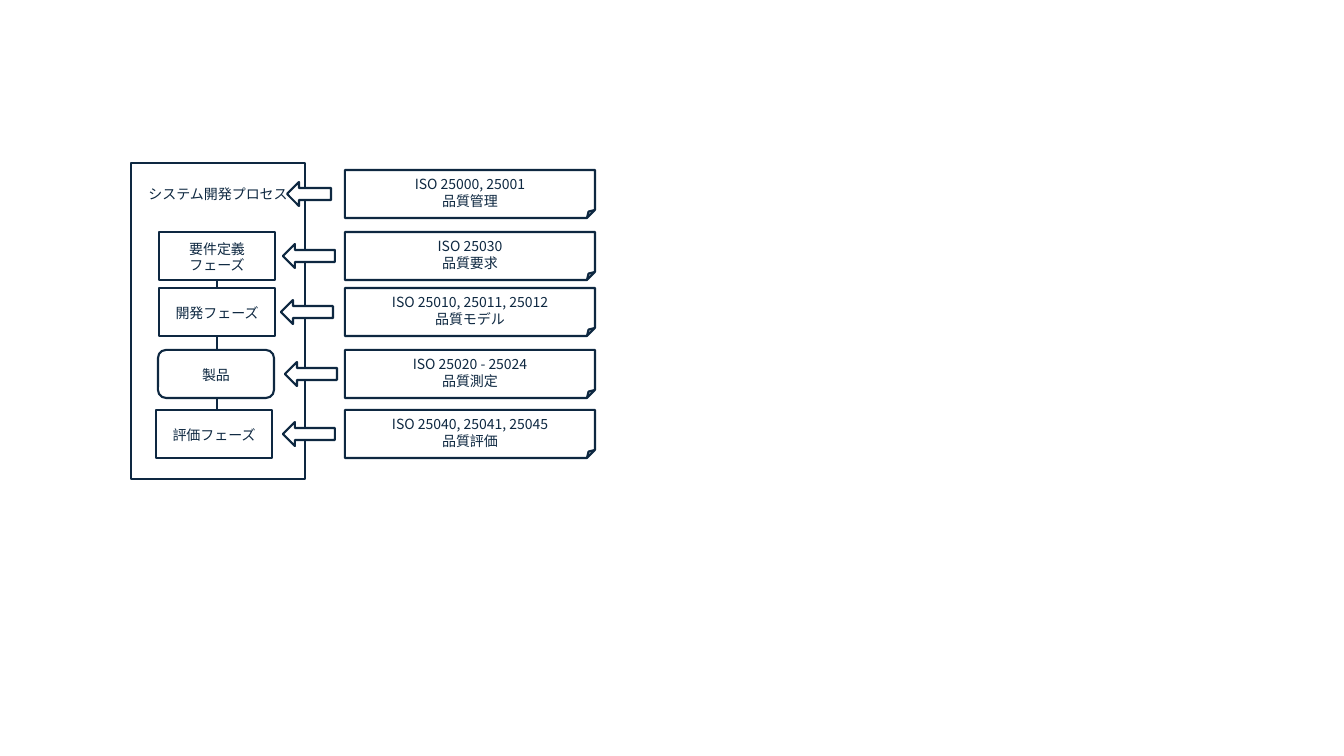
from dataclasses import dataclass

from lxml import etree
from pptx import Presentation
from pptx.dml.color import RGBColor
from pptx.enum.shapes import MSO_CONNECTOR, MSO_SHAPE
from pptx.enum.text import MSO_ANCHOR, PP_ALIGN
from pptx.oxml.ns import qn
from pptx.util import Pt

RECT, ROUND = MSO_SHAPE.RECTANGLE, MSO_SHAPE.ROUNDED_RECTANGLE
NOTE, ARROW = MSO_SHAPE.FOLDED_CORNER, MSO_SHAPE.LEFT_ARROW
STRAIGHT = MSO_CONNECTOR.STRAIGHT
TOP, MIDDLE, CENTER = MSO_ANCHOR.TOP, MSO_ANCHOR.MIDDLE, PP_ALIGN.CENTER
BOTTOM_SITE = 2


@dataclass(frozen=True)
class Theme:
    ink: RGBColor = RGBColor(0x0E, 0x28, 0x41)
    paper: RGBColor = RGBColor(0xFF, 0xFF, 0xFF)
    font: str = "Noto Sans CJK JP"
    size: int = 10
    leading: int = 12
    line: float = 1.5


THEME = Theme()
PROCESS = ["システム開発プロセス"]
ROWS = [
    {"top": 170, "arrow": (287, 44), "phase": None,
     "standard": ["ISO 25000, 25001", "品質管理"]},
    {"top": 232, "arrow": (283, 52), "phase": (RECT, 159, ["要件定義", "フェーズ"]),
     "standard": ["ISO 25030", "品質要求"]},
    {"top": 288, "arrow": (281, 52), "phase": (RECT, 159, ["開発フェーズ"]),
     "standard": ["ISO 25010, 25011, 25012", "品質モデル"]},
    {"top": 350, "arrow": (285, 52), "phase": (ROUND, 158, ["製品"]),
     "standard": ["ISO 25020 - 25024", "品質測定"]},
    {"top": 410, "arrow": (283, 52), "phase": (RECT, 156, ["評価フェーズ"]),
     "standard": ["ISO 25040, 25041, 25045", "品質評価"]},
]
SLIDE_W, SLIDE_H = 1344, 756
FRAME = (131, 163, 174, 316)
ROW_H, ARROW_H = 48, 24
PHASE_W, NOTE_X, NOTE_W = 116, 345, 250
FLOW_X, FLOW_TOP, FLOW_BOTTOM = 217, 280, 410


def px(n):
    return round(n * 914400 / 100.8)


def write(sp, lines, anchor=MIDDLE, inset=6):
    tf = sp.text_frame
    tf.word_wrap = True
    tf.vertical_anchor = anchor
    tf.margin_top, tf.margin_bottom = px(inset), px(4)
    for i, line in enumerate(lines):
        p = tf.add_paragraph() if i else tf.paragraphs[0]
        p.alignment = CENTER
        p.line_spacing = Pt(THEME.leading)
        r = p.add_run()
        r.text = line
        r.font.size = Pt(THEME.size)
        r.font.color.rgb = THEME.ink
        r.font.name = THEME.font
        ea = etree.SubElement(r._r.get_or_add_rPr(), qn("a:ea"))
        ea.set("typeface", THEME.font)


def add_box(s, kind, x, y, w, h):
    sp = s.shapes.add_shape(kind, px(x), px(y), px(w), px(h))
    sp.shadow.inherit = False
    sp.fill.solid()
    sp.fill.fore_color.rgb = THEME.paper
    sp.line.color.rgb = THEME.ink
    sp.line.width = Pt(THEME.line)
    return sp


def add_flow(s):
    cx = s.shapes.add_connector(
        STRAIGHT, px(FLOW_X), px(FLOW_BOTTOM), px(FLOW_X), px(FLOW_TOP))
    cx.line.color.rgb = THEME.ink
    cx.line.width = Pt(THEME.line)
    etree.SubElement(cx._element.spPr, qn("a:effectLst"))
    return cx


def main():
    prs = Presentation()
    prs.slide_width, prs.slide_height = px(SLIDE_W), px(SLIDE_H)
    s = prs.slides.add_slide(prs.slide_layouts[6])
    write(add_box(s, RECT, *FRAME), PROCESS, anchor=TOP, inset=23)
    flow = add_flow(s)
    phases = []
    for row in ROWS:
        top = row["top"]
        if row["phase"]:
            kind, x, lines = row["phase"]
            phase = add_box(s, kind, x, top, PHASE_W, ROW_H)
            write(phase, lines)
            phases.append(phase)
        note = add_box(s, NOTE, NOTE_X, top, NOTE_W, ROW_H)
        write(note, row["standard"], anchor=TOP)
        x, w = row["arrow"]
        add_box(s, ARROW, x, top + (ROW_H - ARROW_H) / 2, w, ARROW_H)
    flow.end_connect(phases[0], BOTTOM_SITE)
    prs.save("out.pptx")


if __name__ == "__main__":
    main()
